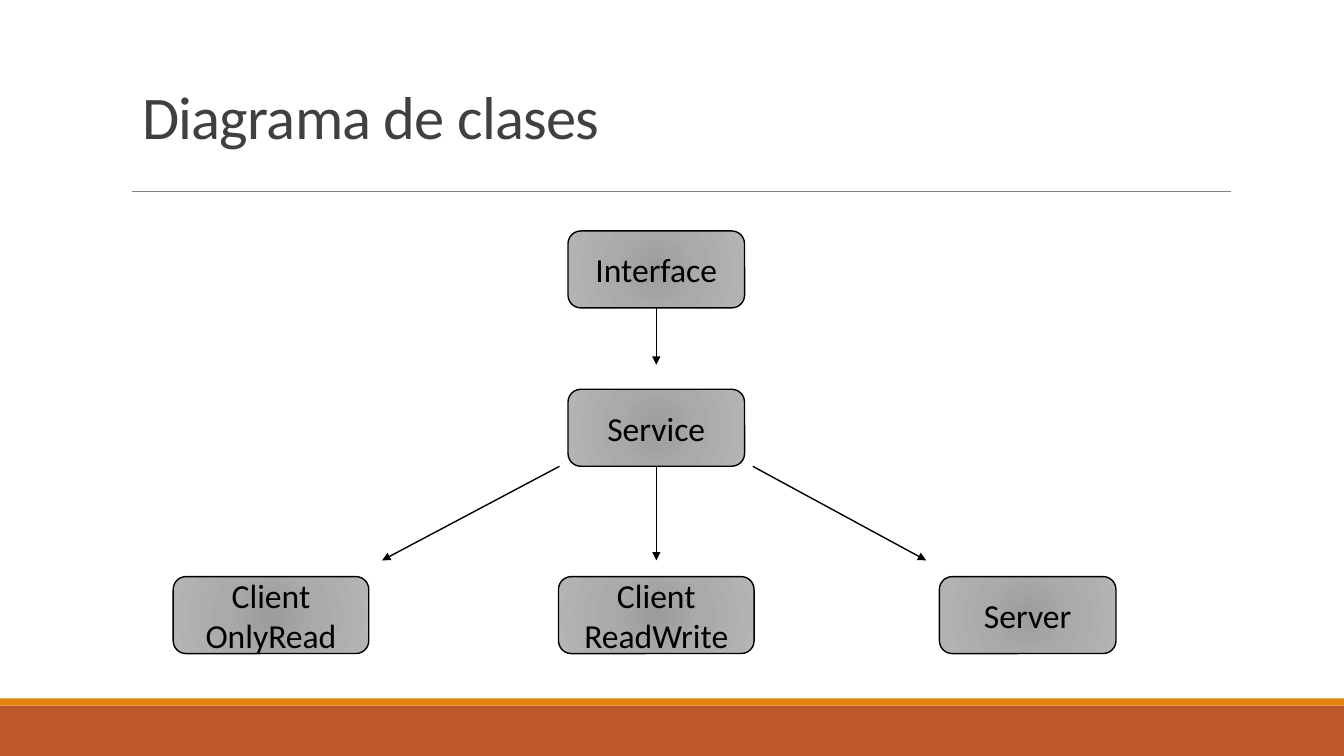
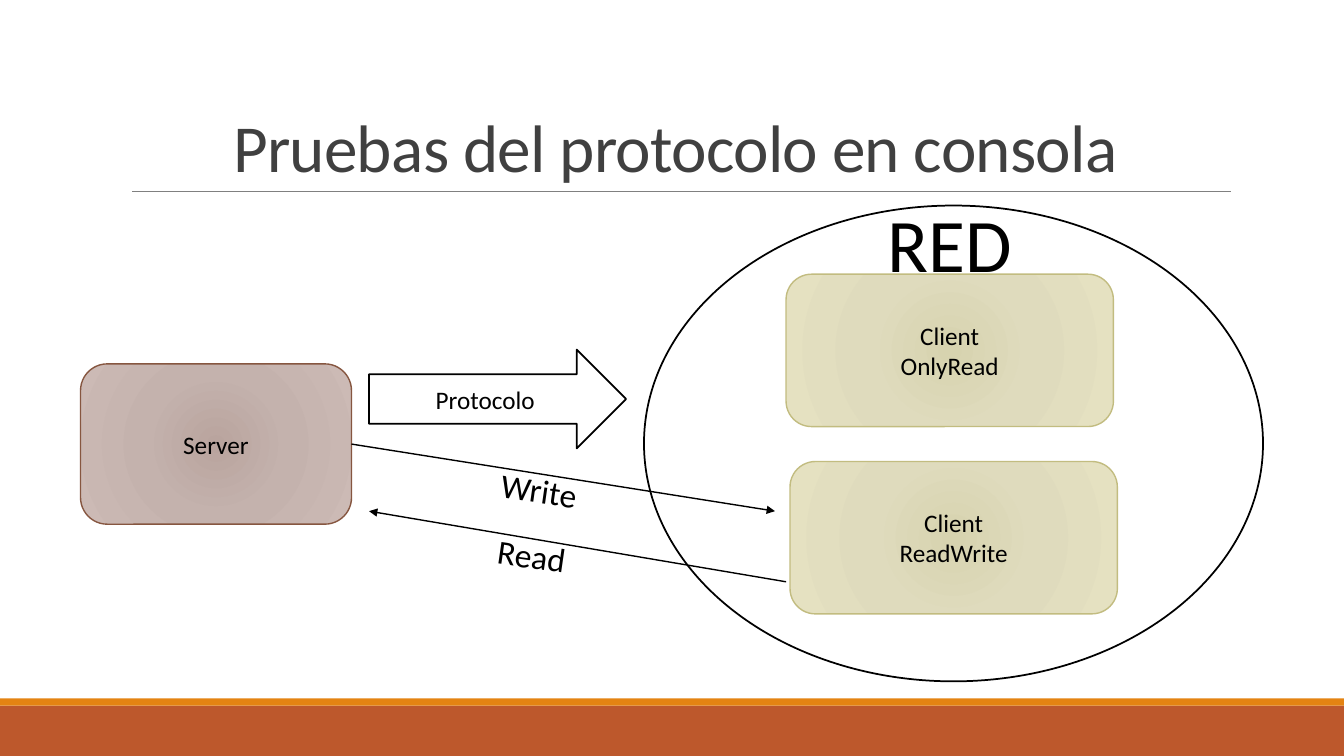
from lxml import etree
from pptx import Presentation
from pptx.dml.color import RGBColor
from pptx.enum import shapes, text
from pptx.oxml import parse_xml
from pptx.oxml.ns import nsdecls, qn
from pptx.util import Cm, Pt

FONT = "Calibri"
COLORS = {
    "black": "000000",
    "white": "FFFFFF",
    "title": "404040",
    "rule": "808080",
    "band": "BD582C",
    "stripe": "E48312",
    "sand_line": "C2BC80",
    "clay_line": "865640",
}
# Radial gradients, from the centre outwards
GRADIENTS = {
    "gray": ("9C9C9C", "AAAAAA", "B4B4B4"),
    "sand": ("D7D3AF", "DFDBBD", "E5E1C1"),
    "clay": ("B9A49E", "C4B2AD", "CCBAB5"),
}
STOPS = (0, 45, 100)
SLIDE_W, SLIDE_H = 33.87, 19.05
KIND = shapes.MSO_SHAPE
BOTTOM, RIGHT = 2, 3


def rgb(name):
    return RGBColor.from_string(COLORS[name])


def write(shape, content, size=18, color="black", align=text.PP_ALIGN.CENTER,
          anchor=text.MSO_ANCHOR.MIDDLE, wrap=True, line_spacing=None, tracking=None):
    """Fill a shape with text, one paragraph per line; tracking is in points."""
    frame = shape.text_frame
    frame.word_wrap = wrap
    frame.vertical_anchor = anchor
    frame.text = content
    for paragraph in frame.paragraphs:
        paragraph.alignment = align
        if line_spacing:
            paragraph.line_spacing = line_spacing
        for run in paragraph.runs:
            run.font.name = FONT
            run.font.size = Pt(size)
            run.font.color.rgb = rgb(color)
            if tracking:
                run.font._element.set("spc", str(round(tracking * 100)))


def add_label(slide, content, left, top, width, height, rotation=0, **style):
    label = slide.shapes.add_textbox(Cm(left), Cm(top), Cm(width), Cm(height))
    label.rotation = rotation
    write(label, content, **style)


def add_figure(slide, kind, left, top, width, height, fill=None, line=None, weight=1):
    figure = slide.shapes.add_shape(kind, Cm(left), Cm(top), Cm(width), Cm(height))
    figure.shadow.inherit = False
    if fill:
        figure.fill.solid()
        figure.fill.fore_color.rgb = rgb(fill)
    if line:
        figure.line.color.rgb = rgb(line)
        figure.line.width = Pt(weight)
    else:
        figure.line.fill.background()
    return figure


def apply_gradient(figure, name):
    stops = "".join(
        f'<a:gs pos="{stop * 1000}"><a:srgbClr val="{color}"/></a:gs>'
        for stop, color in zip(STOPS, GRADIENTS[name]))
    gradient = parse_xml(
        f'<a:gradFill {nsdecls("a")} rotWithShape="1"><a:gsLst>{stops}</a:gsLst>'
        '<a:path path="circle"><a:fillToRect l="50000" t="50000" r="50000" b="50000"/>'
        '</a:path></a:gradFill>')
    figure._element.spPr.find(qn("a:ln")).addprevious(gradient)


def add_node(slide, content, left, top, width, height, gradient, line="black", size=18):
    node = add_figure(slide, KIND.ROUNDED_RECTANGLE, left, top, width, height, line=line)
    apply_gradient(node, gradient)
    write(node, content, size=size)
    return node


def add_line(slide, start, end, color="black", weight=1, arrow=True, source=None, side=BOTTOM):
    """Draw a line, joined to a side of the source shape if one is given."""
    line = slide.shapes.add_connector(
        shapes.MSO_CONNECTOR.STRAIGHT, *(Cm(value) for value in (*start, *end)))
    if source is not None:
        line.begin_connect(source, side)
    line.line.color.rgb = rgb(color)
    line.line.width = Pt(weight)
    properties = line._element.spPr
    if arrow:
        etree.SubElement(properties.find(qn("a:ln")), qn("a:tailEnd"), type="triangle")
    etree.SubElement(properties, qn("a:effectLst"))


def add_base(deck, title, left, bottom, width, **style):
    """Add a slide with the shared bands, rule and title."""
    slide = deck.slides.add_slide(deck.slide_layouts[6])
    add_figure(slide, KIND.RECTANGLE, 0, 17.78, SLIDE_W, 1.27, fill="band")
    add_figure(slide, KIND.RECTANGLE, 0, 17.6, SLIDE_W, 0.18, fill="stripe")
    add_line(slide, (3.33, 4.83), (31.01, 4.83), color="rule", weight=0.5, arrow=False)
    height = 3
    add_label(slide, title, left, bottom - height, width, height, color="title",
              anchor=text.MSO_ANCHOR.BOTTOM, line_spacing=0.85, tracking=-0.5, **style)
    return slide


def build_class_diagram(deck):
    slide = add_base(deck, "Diagrama de clases", 3.33, 3.94, 25.83,
                     size=43.2, align=text.PP_ALIGN.LEFT)
    axis, narrow, wide, height = 16.54, 4.45, 4.93, 1.94
    service_top, clients_top = 9.81, 14.53

    def add_class(name, center, top, width=narrow):
        return add_node(slide, name, center - width / 2, top, width, height, "gray", size=24)

    interface = add_class("Interface", axis, 5.82)
    service = add_class("Service", axis, service_top)
    add_class("Client\nOnlyRead", 6.83, clients_top, wide)
    add_class("Client\nReadWrite", axis, clients_top, wide)
    add_class("Server", 25.9, clients_top)

    service_bottom, tips = service_top + height, 14.12
    add_line(slide, (14.1, service_bottom), (9.63, tips))
    add_line(slide, (18.97, service_bottom), (23.34, tips))
    for parent, tip in ((service, tips), (interface, 9.19)):
        add_line(slide, (axis, tip), (axis, tip), source=parent)


def build_protocol_tests(deck):
    slide = add_base(deck, "Pruebas del protocolo en consola", 3.05, 4.83, 27.94, size=48)
    add_figure(slide, KIND.OVAL, 16.23, 5.18, 15.6, 11.99, "white", "black", 1.25)
    for name, left, top in (("OnlyRead", 19.81, 6.91), ("ReadWrite", 19.91, 11.63)):
        add_node(slide, f"Client\n{name}", left, top, 8.25, 3.84, "sand", "sand_line")
    server = add_node(slide, "Server", 2.03, 9.17, 6.83, 4.04, "clay", "clay_line")
    protocol = add_figure(slide, KIND.RIGHT_ARROW, 9.3, 8.81, 6.48, 2.49,
                          "white", "black", 1.25)
    write(protocol, "Protocolo")

    add_line(slide, (8.86, 11.19), (19.53, 12.88), source=server, side=RIGHT)
    add_line(slide, (19.81, 14.66), (9.3, 12.88))

    free = {"anchor": text.MSO_ANCHOR.TOP, "wrap": False}
    add_label(slide, "RED", 22.1, 4.83, 3.68, 2.57, size=54, **free)
    add_label(slide, "Write", 12.37, 11.71, 2.44, 1.27, rotation=8.2, size=24, **free)
    add_label(slide, "Read", 12.27, 13.36, 2.26, 1.27, rotation=8.2, size=24, **free)


def main():
    deck = Presentation()
    deck.slide_width, deck.slide_height = Cm(SLIDE_W), Cm(SLIDE_H)
    build_class_diagram(deck)
    build_protocol_tests(deck)
    deck.save("out.pptx")


if __name__ == "__main__":
    main()
